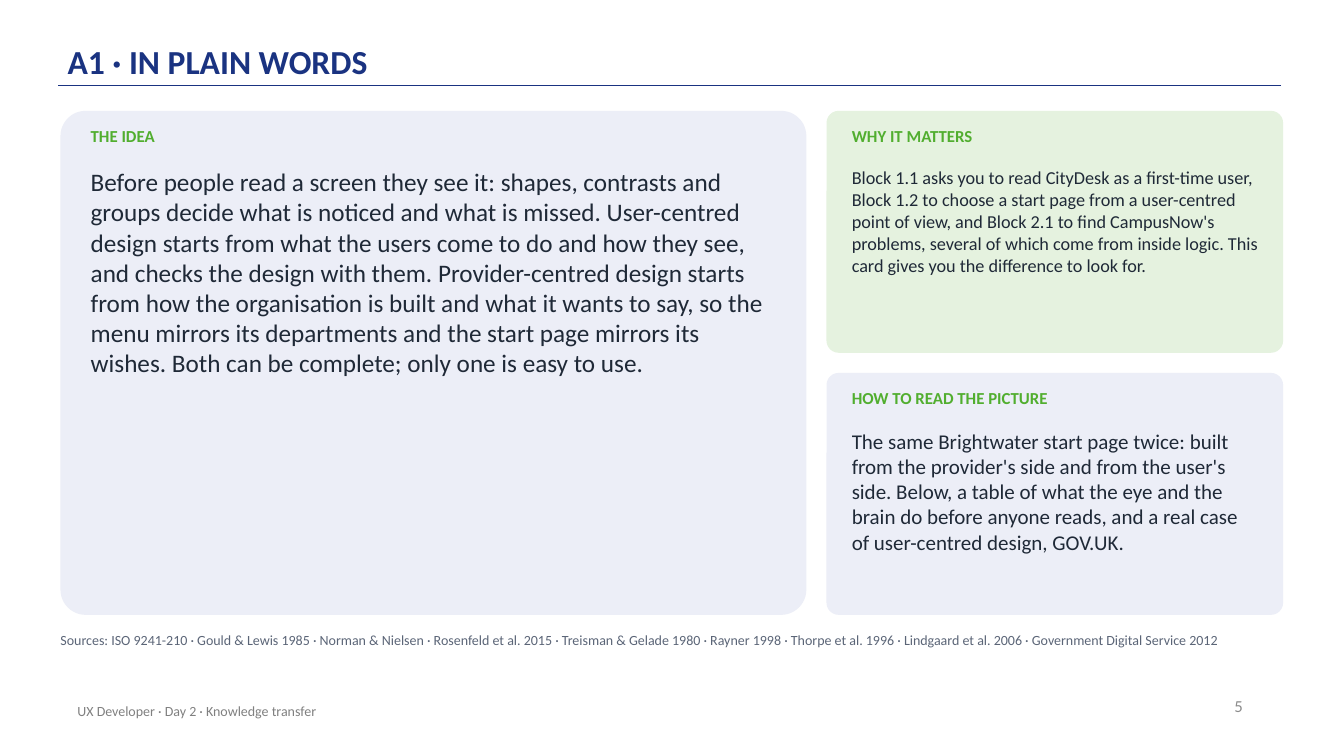
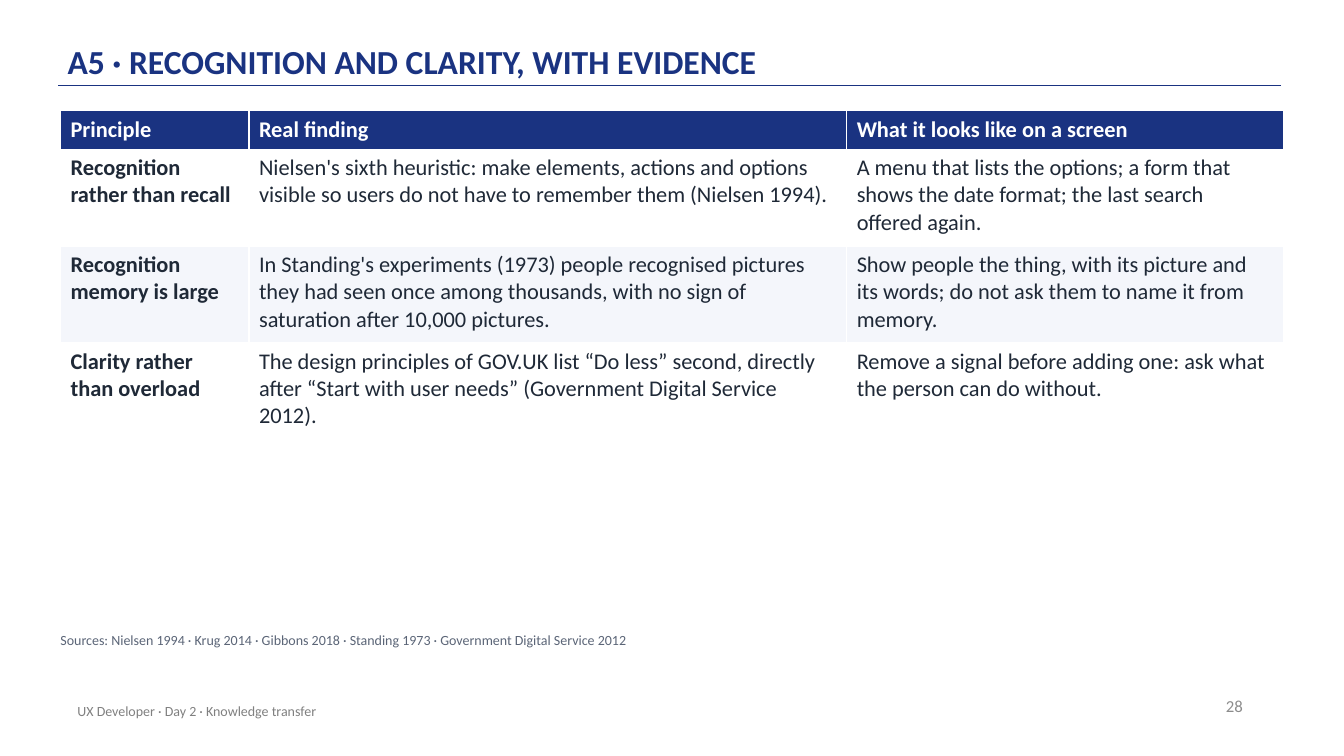
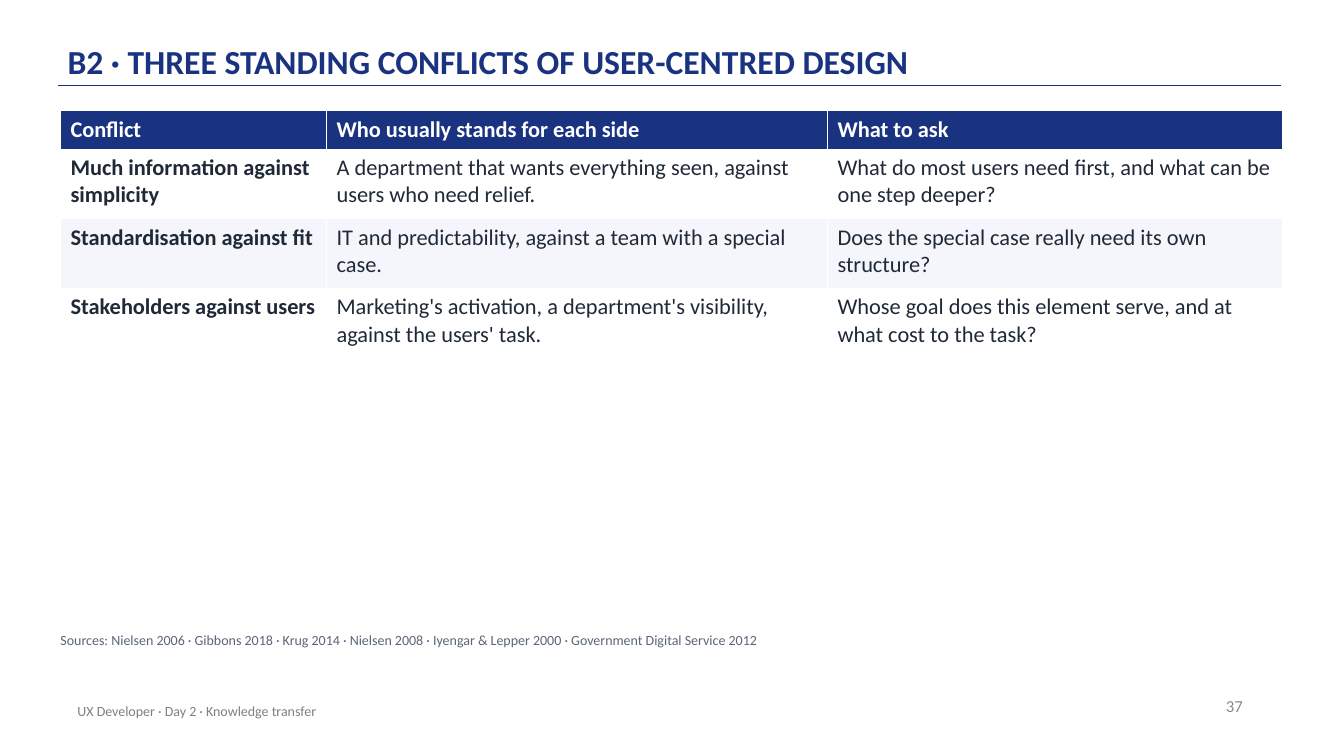
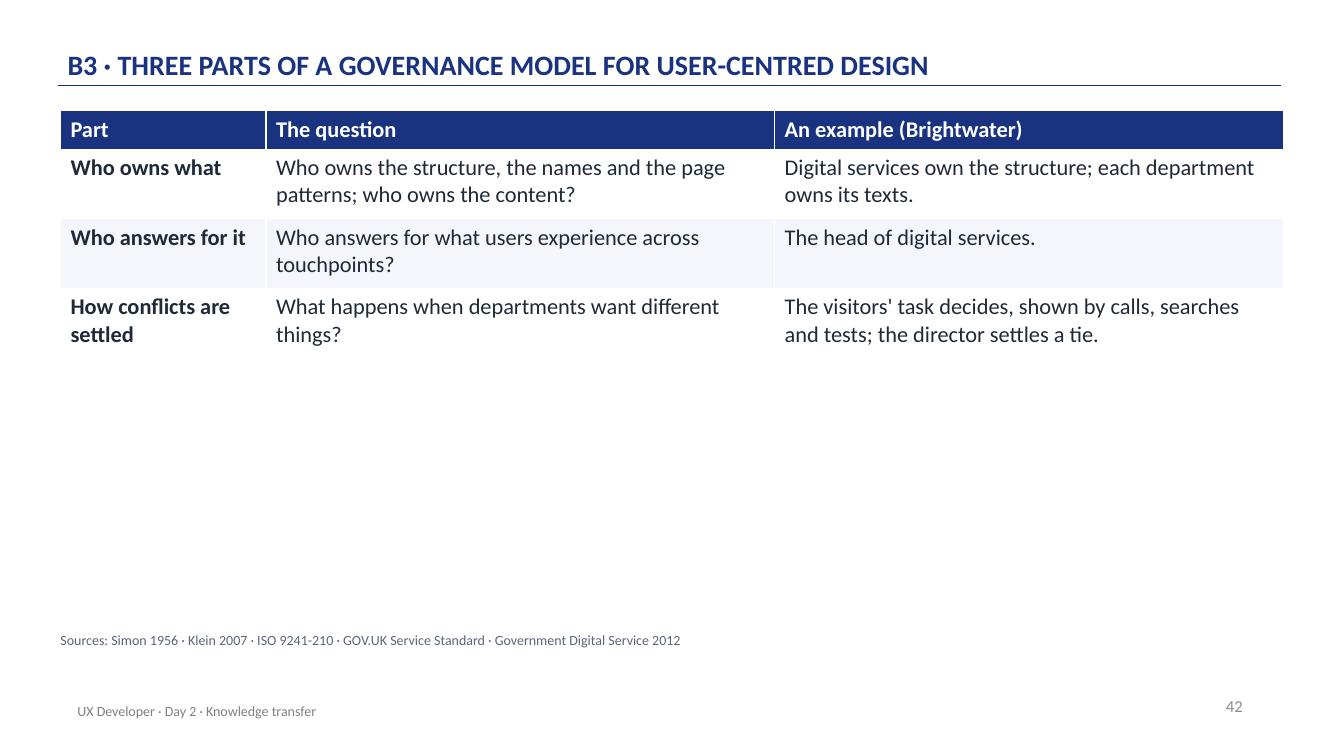
from lxml.etree import SubElement
from pptx import Presentation
from pptx.dml.color import RGBColor
from pptx.enum.shapes import MSO_CONNECTOR, MSO_SHAPE
from pptx.enum.text import MSO_ANCHOR, MSO_AUTO_SIZE, PP_ALIGN
from pptx.oxml.ns import qn
from pptx.util import Pt

COLOURS = {
    "navy": "1A3381",
    "green": "51AE2F",
    "ink": "1F2937",
    "source": "5B6577",
    "footer": "808080",
    "number": "8C8C8C",
    "lilac": "ECEEF7",
    "mint": "E5F2DF",
    "band": "F4F6FB",
    "white": "FFFFFF",
}
FONT = "Calibri"
FOOTER = "UX Developer · Day 2 · Knowledge transfer"
LEFT, TOP = 43.2, 79.2
HEADER_HEIGHT = 27.36


def colour(name):
    return RGBColor.from_string(COLOURS[name])


class Handout:
    """Holds the deck, its style and the current page."""

    def __init__(self):
        self.deck = Presentation()
        self.deck.slide_width, self.deck.slide_height = Pt(960), Pt(540)
        self.page = None

    def add_span(self, para, text, size, tint, bold=False):
        span = para.add_run()
        span.text = text
        span.font.name, span.font.size, span.font.bold = FONT, Pt(size), bold
        span.font.color.rgb = colour(tint)

    def text(self, area, text, size, tint, bold=False, insets=(7.2, 3.6),
             anchor=MSO_ANCHOR.MIDDLE, align=PP_ALIGN.LEFT):
        box = self.page.shapes.add_textbox(*map(Pt, area))
        frame = box.text_frame
        frame.word_wrap = True
        frame.vertical_anchor = anchor
        frame.margin_left = frame.margin_right = Pt(insets[0])
        frame.margin_top = frame.margin_bottom = Pt(insets[1])
        para = frame.paragraphs[0]
        para.alignment = align
        self.add_span(para, text, size, tint, bold)
        return frame

    def flush_text(self, area, text, size, tint, bold=False):
        """Text without insets, in a box that grows with it."""
        frame = self.text(area, text, size, tint, bold, (0, 0), MSO_ANCHOR.TOP)
        frame.auto_size = MSO_AUTO_SIZE.SHAPE_TO_FIT_TEXT
        frame.paragraphs[0].space_after = Pt(6)

    def start_page(self, title, number, sources, title_size=24):
        self.page = self.deck.slides.add_slide(self.deck.slide_layouts[6])
        # Title and rule
        rule = self.page.shapes.add_connector(
            MSO_CONNECTOR.STRAIGHT, Pt(915.12), Pt(61.2), Pt(41.76), Pt(61.2))
        rule.line.color.rgb = colour("navy")
        rule.line.width = Pt(1)
        SubElement(rule._element.spPr, qn("a:effectLst"))
        heading = self.text((48.24, 8.64, 792, 51.84), title, title_size, "navy",
                            True, (0, 2.16), MSO_ANCHOR.BOTTOM)
        heading.paragraphs[0].line_spacing = 0.9
        # Footer and sources
        self.text((678.96, 489.6, 216, 28.8), str(number), 12, "number",
                  align=PP_ALIGN.RIGHT)
        self.text((48.24, 493.2, 482.4, 28.8), FOOTER, 10, "footer")
        self.flush_text((LEFT, 451.44, 871.2, 21.6), "Sources: " + sources,
                        10, "source")

    def card(self, area, fill, label, body, size, inset, text_width):
        left, top, width, height = area
        panel = self.page.shapes.add_shape(
            MSO_SHAPE.ROUNDED_RECTANGLE, *map(Pt, area))
        panel.adjustments[0] = 0.05
        panel.shadow.inherit = False
        panel.fill.solid()
        panel.fill.fore_color.rgb = colour(fill)
        panel.line.fill.background()
        self.flush_text((left + inset, top + 10.8, text_width, 25.2),
                        label, 12, "green", True)
        self.flush_text((left + inset, top + 39.6, text_width, height - 46.8),
                        body, size, "ink")

    def table(self, widths, heights, rows):
        heights = [HEADER_HEIGHT, *heights]
        grid = self.page.shapes.add_table(
            len(rows), len(widths), Pt(LEFT), Pt(TOP),
            Pt(sum(widths)), Pt(sum(heights))).table
        for column, width in zip(grid.columns, widths):
            column.width = Pt(width)
        for index, (height, texts) in enumerate(zip(heights, rows)):
            grid.rows[index].height = Pt(height)
            header = index == 0
            fill = "navy" if header else "white" if index % 2 else "band"
            for position, text in enumerate(texts):
                cell = grid.cell(index, position)
                cell.fill.solid()
                cell.fill.fore_color.rgb = colour(fill)
                self.add_span(cell.text_frame.paragraphs[0], text, 16,
                              "white" if header else "ink",
                              header or position == 0)


def main():
    handout = Handout()

    # A1: three cards
    handout.start_page(
        "A1 · IN PLAIN WORDS", 5,
        "ISO 9241-210 · Gould & Lewis 1985 · Norman & Nielsen · "
        "Rosenfeld et al. 2015 · Treisman & Gelade 1980 · Rayner 1998 · "
        "Thorpe et al. 1996 · Lindgaard et al. 2006 · "
        "Government Digital Service 2012")
    handout.card(
        (LEFT, TOP, 532.8, 360), "lilac", "THE IDEA",
        "Before people read a screen they see it: shapes, contrasts and groups "
        "decide what is noticed and what is missed. User-centred design starts "
        "from what the users come to do and how they see, and checks the design "
        "with them. Provider-centred design starts from how the organisation is "
        "built and what it wants to say, so the menu mirrors its departments and "
        "the start page mirrors its wishes. Both can be complete; only one is "
        "easy to use.", 18, 21.6, 489.6)
    side_cards = [
        ("mint", "WHY IT MATTERS",
         "Block 1.1 asks you to read CityDesk as a first-time user, Block 1.2 to "
         "choose a start page from a user-centred point of view, and Block 2.1 to "
         "find CampusNow's problems, several of which come from inside logic. "
         "This card gives you the difference to look for.", 13),
        ("lilac", "HOW TO READ THE PICTURE",
         "The same Brightwater start page twice: built from the provider's side "
         "and from the user's side. Below, a table of what the eye and the brain "
         "do before anyone reads, and a real case of user-centred design, GOV.UK.",
         15),
    ]
    for index, content in enumerate(side_cards):
        handout.card((590.4, TOP + index * 187.2, 326.16, 172.8), *content,
                     18, 291.6)

    # A5: evidence table
    handout.start_page(
        "A5 · RECOGNITION AND CLARITY, WITH EVIDENCE", 28,
        "Nielsen 1994 · Krug 2014 · Gibbons 2018 · Standing 1973 · "
        "Government Digital Service 2012")
    handout.table([134.64, 426.96, 311.76], [69.12] * 3, [
        ("Principle", "Real finding", "What it looks like on a screen"),
        ("Recognition rather than recall",
         "Nielsen's sixth heuristic: make elements, actions and options visible "
         "so users do not have to remember them (Nielsen 1994).",
         "A menu that lists the options; a form that shows the date format; "
         "the last search offered again."),
        ("Recognition memory is large",
         "In Standing's experiments (1973) people recognised pictures they had "
         "seen once among thousands, with no sign of saturation after 10,000 "
         "pictures.",
         "Show people the thing, with its picture and its words; do not ask "
         "them to name it from memory."),
        ("Clarity rather than overload",
         "The design principles of GOV.UK list “Do less” second, directly after "
         "“Start with user needs” (Government Digital Service 2012).",
         "Remove a signal before adding one: ask what the person can do "
         "without."),
    ])

    # B2: conflicts table
    handout.start_page(
        "B2 · THREE STANDING CONFLICTS OF USER-CENTRED DESIGN", 37,
        "Nielsen 2006 · Gibbons 2018 · Krug 2014 · Nielsen 2008 · "
        "Iyengar & Lepper 2000 · Government Digital Service 2012")
    handout.table([190.08, 357.84, 325.44], [49.68] * 3, [
        ("Conflict", "Who usually stands for each side", "What to ask"),
        ("Much information against simplicity",
         "A department that wants everything seen, against users who need "
         "relief.",
         "What do most users need first, and what can be one step deeper?"),
        ("Standardisation against fit",
         "IT and predictability, against a team with a special case.",
         "Does the special case really need its own structure?"),
        ("Stakeholders against users",
         "Marketing's activation, a department's visibility, against the "
         "users' task.",
         "Whose goal does this element serve, and at what cost to the task?"),
    ])

    # B3: governance table
    handout.start_page(
        "B3 · THREE PARTS OF A GOVERNANCE MODEL FOR USER-CENTRED DESIGN", 42,
        "Simon 1956 · Klein 2007 · ISO 9241-210 · GOV.UK Service Standard · "
        "Government Digital Service 2012", title_size=20)
    handout.table([146.88, 363.24, 363.24], [49.68, 49.68, 69.12], [
        ("Part", "The question", "An example (Brightwater)"),
        ("Who owns what",
         "Who owns the structure, the names and the page patterns; who owns "
         "the content?",
         "Digital services own the structure; each department owns its texts."),
        ("Who answers for it",
         "Who answers for what users experience across touchpoints?",
         "The head of digital services."),
        ("How conflicts are settled",
         "What happens when departments want different things?",
         "The visitors' task decides, shown by calls, searches and tests; the "
         "director settles a tie."),
    ])

    handout.deck.save("out.pptx")


if __name__ == "__main__":
    main()
